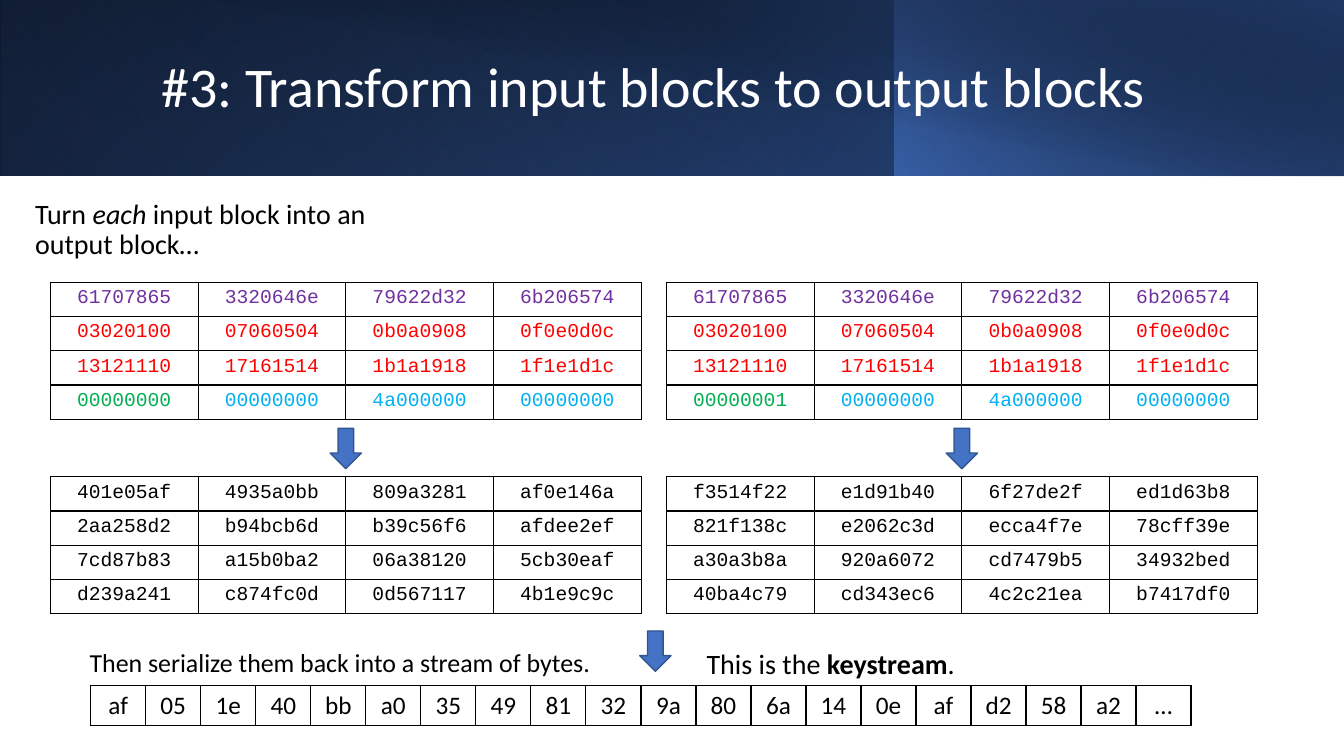
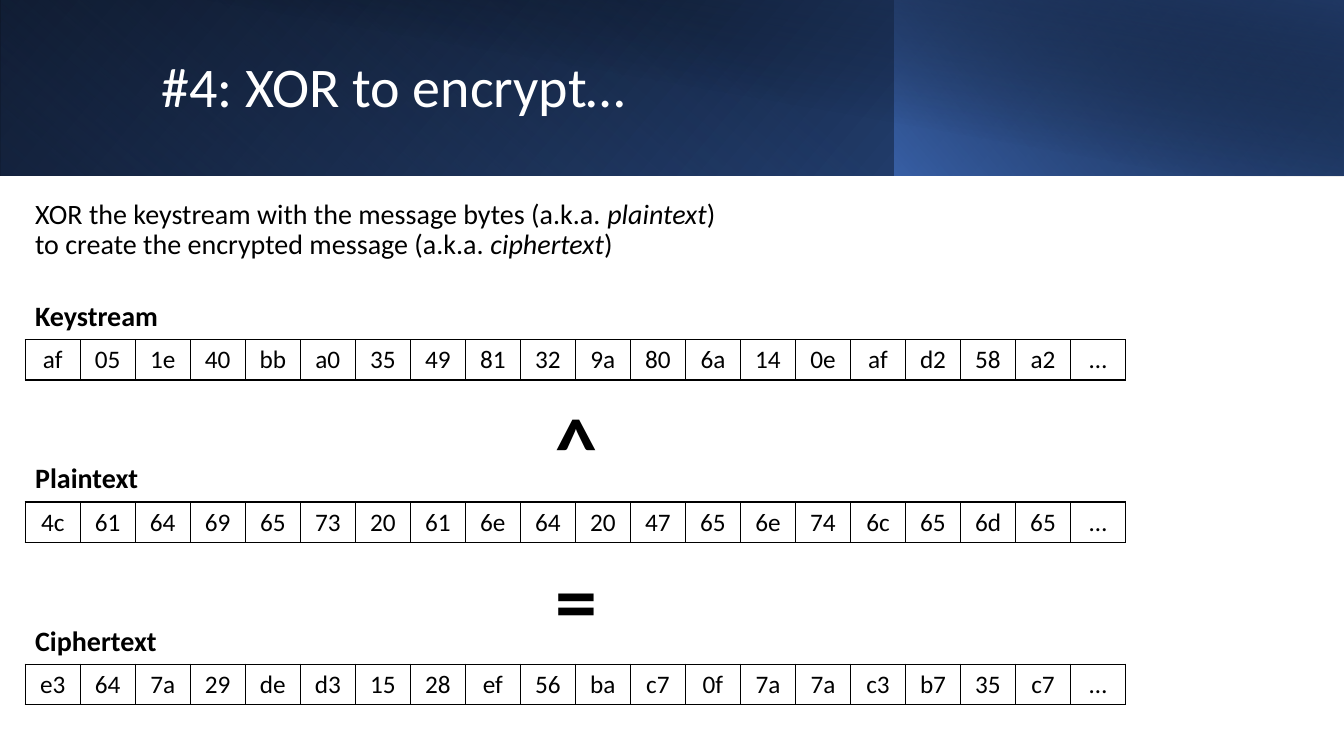
from pptx import Presentation
from pptx.dml.color import RGBColor
from pptx.enum.shapes import MSO_SHAPE
from pptx.enum.text import MSO_ANCHOR, MSO_AUTO_SIZE, PP_ALIGN
from pptx.oxml import parse_xml
from pptx.oxml.ns import nsdecls
from pptx.util import Inches, Pt

RECTANGLE, DOWN_ARROW = MSO_SHAPE.RECTANGLE, MSO_SHAPE.DOWN_ARROW
LEFT, CENTER = PP_ALIGN.LEFT, PP_ALIGN.CENTER
MIDDLE, NO_AUTOFIT = MSO_ANCHOR.MIDDLE, MSO_AUTO_SIZE.NONE
TITLE_ONLY = 5

BODY_FONT, CODE_FONT = "Calibri", "Courier New"
BLACK, WHITE = "000000", "FFFFFF"
BLUE, BLUE_EDGE, NAVY = "4472C4", "325491", "203864"
PURPLE, RED, GREEN, SKY = "7030A0", "FF0000", "00B050", "00B0F0"

# box, flipped, rotation, gradient angle, stops (position %, colour, opacity %)
HEADER_BANDS = [
    ((0, 0, 13.33, 1.74), True, 0, 140, [(0, BLACK, 100), (100, "2F5597", 100)]),
    ((0, 0, 8.88, 1.74), True, 180, 230, [(20, BLUE, 0), (100, NAVY, 55)]),
    ((8.87, 0, 4.46, 1.74), True, 0, 220, [(0, BLUE, 66), (100, BLACK, 30)]),
    ((0.5, 0, 12.83, 1.75), False, 0, 280, [(50, BLACK, 0), (99, NAVY, 52)]),
]
TITLE_BOX = (1.5, 0.32, 10.82, 1.13)

# Text is a list of (words, style): "b" bold, "i" italic
TRANSFORM_TITLE = "#3: Transform input blocks to output blocks"
TRANSFORM_INTRO = [("Turn ", ""), ("each", "i"),
                   (" input block into an output block…", "")]
SERIALIZE_NOTE = [("Then serialize them back into a stream of bytes.", "")]
KEYSTREAM_NOTE = [("This is the ", ""), ("keystream", "b"), (".", "")]

XOR_TITLE = "#4: XOR to encrypt…"
XOR_INTRO = [("XOR the keystream with the message bytes (a.k.a. ", ""),
             ("plaintext", "i"),
             (") to create the encrypted message (a.k.a. ", ""),
             ("ciphertext", "i"), (")", "")]

INPUT_ROWS = ["61707865 3320646e 79622d32 6b206574",
              "03020100 07060504 0b0a0908 0f0e0d0c",
              "13121110 17161514 1b1a1918 1f1e1d1c"]
NONCE = "00000000 4a000000 00000000"
INPUT_COLORS = [[PURPLE] * 4, [RED] * 4, [RED] * 4, [GREEN] + [SKY] * 3]
BLOCKS = [  # counter, output rows
    ("00000000", ["401e05af 4935a0bb 809a3281 af0e146a",
                  "2aa258d2 b94bcb6d b39c56f6 afdee2ef",
                  "7cd87b83 a15b0ba2 06a38120 5cb30eaf",
                  "d239a241 c874fc0d 0d567117 4b1e9c9c"]),
    ("00000001", ["f3514f22 e1d91b40 6f27de2f ed1d63b8",
                  "821f138c e2062c3d ecca4f7e 78cff39e",
                  "a30a3b8a 920a6072 cd7479b5 34932bed",
                  "40ba4c79 cd343ec6 4c2c21ea b7417df0"]),
]
KEYSTREAM = "af 05 1e 40 bb a0 35 49 81 32 9a 80 6a 14 0e af d2 58 a2 …"
STREAMS = [
    ("Keystream", KEYSTREAM),
    ("Plaintext", "4c 61 64 69 65 73 20 61 6e 64 20 47 65 6e 74 6c 65 6d 65 …"),
    ("Ciphertext", "e3 64 7a 29 de d3 15 28 ef 56 ba c7 0f 7a 7a c3 b7 35 c7 …"),
]
OPERATORS = [("^", 3.85), ("=", 5.38)]  # symbol, top

BLOCK_LEFT, BLOCK_STEP, BLOCK_WIDTH, BLOCK_ROW = 0.5, 6.11, 5.86, 0.34
INPUT_TOP, OUTPUT_TOP = 2.8, 4.73
ARROW_WIDTH, ARROW_HEIGHT = 0.31, 0.4
STREAM_WIDTH, STREAM_ROW = 10.92, 0.4
STREAM_TOP, STREAM_STEP, LABEL_RISE = 3.37, 1.61, 0.42


def rgb(color):
    return RGBColor.from_string(color)


def inches(box):
    return [Inches(length) for length in box]


def set_font(font, size, color=BLACK, name=BODY_FONT):
    font.name, font.size = name, Pt(size)
    font.color.rgb = rgb(color)


def add_band(slide, box, flipped, rotation, angle, stops):
    band = slide.shapes.add_shape(RECTANGLE, *inches(box))
    band.rotation = rotation
    properties = band.element.spPr
    if flipped:
        properties.xfrm.set("flipH", "1")
    stop_xml = "".join(
        f'<a:gs pos="{position * 1000}"><a:srgbClr val="{color}">'
        f'<a:alpha val="{opacity * 1000}"/></a:srgbClr></a:gs>'
        for position, color, opacity in stops)
    properties.append(parse_xml(
        f'<a:gradFill {nsdecls("a")} rotWithShape="1"><a:gsLst>{stop_xml}</a:gsLst>'
        f'<a:lin ang="{angle * 60000}" scaled="0"/></a:gradFill>'))
    band.line.fill.background()
    band.shadow.inherit = False


def add_titled_slide(deck, title_text):
    slide = deck.slides.add_slide(deck.slide_layouts[TITLE_ONLY])
    for band in HEADER_BANDS:
        add_band(slide, *band)
    title = slide.shapes.title
    slide.shapes.element.append(title.element)  # in front of the bands
    title.left, title.top, title.width, title.height = inches(TITLE_BOX)
    frame = title.text_frame
    frame.text = title_text
    frame.vertical_anchor, frame.auto_size = MIDDLE, NO_AUTOFIT
    paragraph = frame.paragraphs[0]
    paragraph.alignment, paragraph.line_spacing = LEFT, 0.9
    set_font(paragraph.font, 40, WHITE)
    return slide


def add_text(slide, box, runs, size=20, align=LEFT, spacing=0.9):
    frame = slide.shapes.add_textbox(*inches(box)).text_frame
    frame.word_wrap = True
    paragraph = frame.paragraphs[0]
    paragraph.alignment, paragraph.line_spacing = align, spacing
    set_font(paragraph.font, size)
    for words, style in runs:
        run = paragraph.add_run()
        run.text = words
        if style == "b":
            run.font.bold = True
        elif style == "i":
            run.font.italic = True


def add_borders(cell):
    properties = cell._tc.get_or_add_tcPr()
    for index, side in enumerate("LRTB"):
        properties.insert(index, parse_xml(
            f'<a:ln{side} {nsdecls("a")} w="12700"><a:solidFill>'
            f'<a:srgbClr val="{BLACK}"/></a:solidFill></a:ln{side}>'))


def add_grid(slide, left, top, width, row_height, rows, size, font, colors=None):
    """Draw a bordered table; each row is a string of words."""
    words = [row.split() for row in rows]
    columns = len(words[0])
    table = slide.shapes.add_table(
        len(rows), columns, *inches((left, top, width, row_height * len(rows)))).table
    table.first_row = table.horz_banding = False
    for column in table.columns:
        column.width = Inches(width / columns)
    for r, row in enumerate(words):
        for c, word in enumerate(row):
            cell = table.cell(r, c)
            cell.text = word
            cell.fill.background()
            add_borders(cell)
            paragraph = cell.text_frame.paragraphs[0]
            paragraph.alignment = CENTER
            set_font(paragraph.font, size, colors[r][c] if colors else BLACK, font)


def add_block(slide, left, top, rows, colors=None):
    add_grid(slide, left, top, BLOCK_WIDTH, BLOCK_ROW, rows, 14, CODE_FONT, colors)


def add_stream(slide, left, top, stream):
    add_grid(slide, left, top, STREAM_WIDTH, STREAM_ROW, [stream], 18, BODY_FONT)


def add_down_arrow(slide, center, top):
    arrow = slide.shapes.add_shape(DOWN_ARROW, *inches(
        (center - ARROW_WIDTH / 2, top, ARROW_WIDTH, ARROW_HEIGHT)))
    arrow.fill.solid()
    arrow.fill.fore_color.rgb = rgb(BLUE)
    arrow.line.color.rgb = rgb(BLUE_EDGE)
    arrow.line.width = Pt(1)
    arrow.shadow.inherit = False


def build_transform_slide(deck):
    slide = add_titled_slide(deck, TRANSFORM_TITLE)
    add_text(slide, (0.25, 1.94, 4.16, 0.78), TRANSFORM_INTRO)
    for index, (counter, output_rows) in enumerate(BLOCKS):
        left = BLOCK_LEFT + index * BLOCK_STEP
        input_rows = INPUT_ROWS + [f"{counter} {NONCE}"]
        add_block(slide, left, INPUT_TOP, input_rows, INPUT_COLORS)
        add_down_arrow(slide, left + BLOCK_WIDTH / 2, 4.25)
        add_block(slide, left, OUTPUT_TOP, output_rows)
    add_stream(slide, 0.9, 6.8, KEYSTREAM)
    add_down_arrow(slide, 6.5, 6.26)
    add_text(slide, (0.79, 6.4, 5.3, 0.41), SERIALIZE_NOTE, size=18.5)
    add_text(slide, (6.91, 6.4, 2.7, 0.41), KEYSTREAM_NOTE)


def build_xor_slide(deck):
    slide = add_titled_slide(deck, XOR_TITLE)
    add_text(slide, (0.25, 1.94, 7.15, 0.78), XOR_INTRO)
    for index, (label, stream) in enumerate(STREAMS):
        top = STREAM_TOP + index * STREAM_STEP
        add_stream(slide, 0.25, top, stream)
        add_text(slide, (0.25, top - LABEL_RISE, 3.38, 0.4), [(label, "b")])
    for symbol, top in OPERATORS:
        add_text(slide, (5.3, top, 0.83, 1.11), [(symbol, "b")], 60, CENTER, 1.0)


def main():
    deck = Presentation()
    deck.slide_width, deck.slide_height = Inches(13.33), Inches(7.5)
    build_transform_slide(deck)
    build_xor_slide(deck)
    deck.save("out.pptx")


if __name__ == "__main__":
    main()
